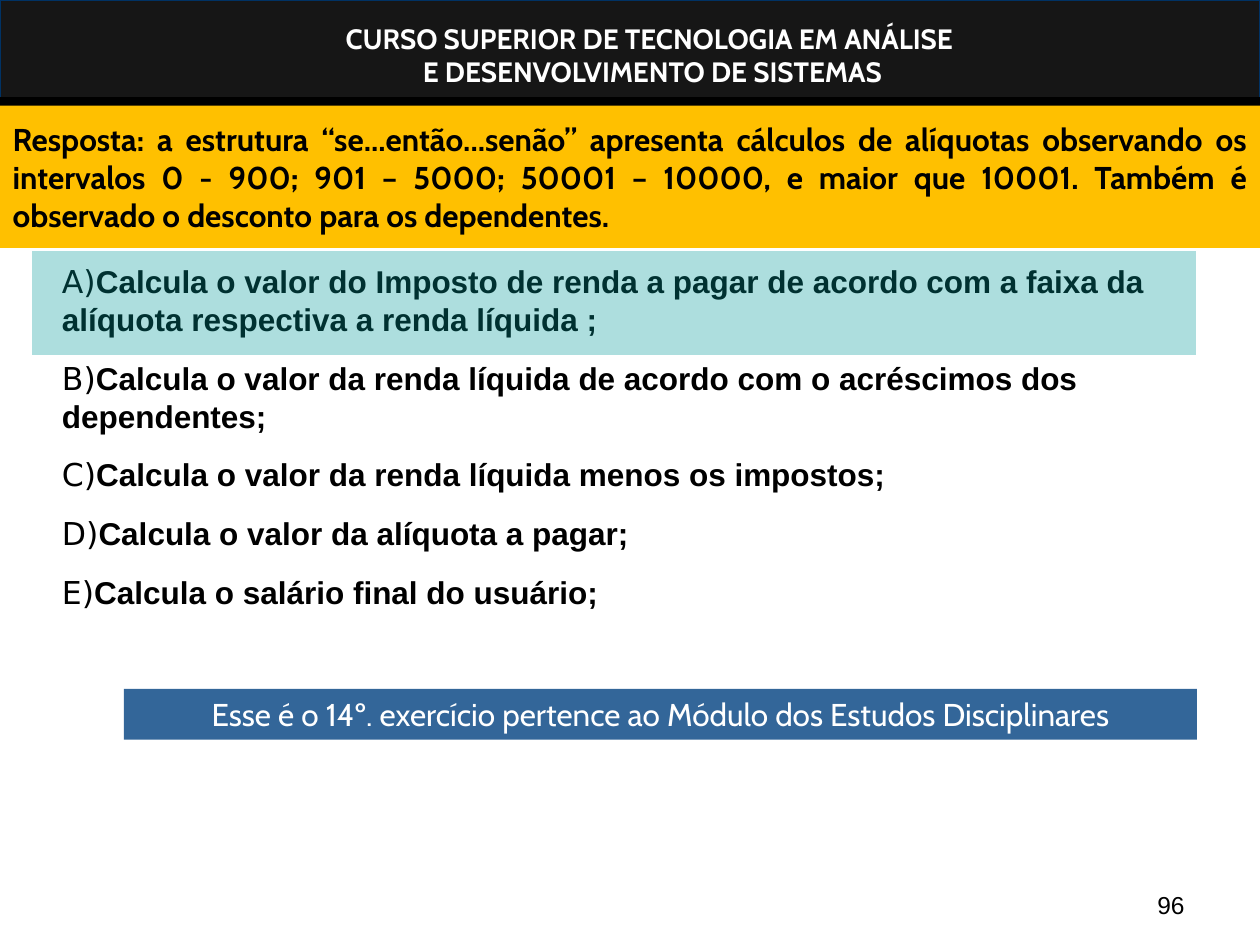
from dataclasses import dataclass
from typing import Optional

from lxml import etree
from pptx import Presentation
from pptx import util as u
from pptx.dml.color import RGBColor
from pptx.enum import shapes, text
from pptx.oxml.ns import qn


@dataclass(frozen=True)
class Theme:
    black: str = "000000"
    white: str = "FFFFFF"
    header: str = "161616"
    header_line: str = "003264"
    answer: str = "FFC000"
    note: str = "336699"
    highlight: str = "009999"
    highlight_opacity: int = 32
    display: str = "Cabin"
    body: str = "Arial"
    letter: str = "DejaVu Sans"
    body_size: int = 18
    header_size: int = 16
    number_size: int = 14


@dataclass(frozen=True)
class Area:
    """Left, top, width and height in centimetres."""
    left: float
    top: float
    width: float
    height: float

    def lengths(self) -> tuple:
        return tuple(u.Cm(n) for n in (self.left, self.top, self.width, self.height))


THEME = Theme()
WIDTH, HEIGHT = 25.4, 19.05
HEADER_HEIGHT = 2.13

HEADER_LINES = ("CURSO SUPERIOR DE TECNOLOGIA EM ANÁLISE ", "E DESENVOLVIMENTO DE SISTEMAS")
ANSWER = (
    "Resposta: a estrutura “se...então...senão” apresenta cálculos de alíquotas "
    "observando os intervalos 0 - 900; 901 – 5000; 50001 – 10000, e maior que 10001. "
    "Também é observado o desconto para os dependentes."
)
OPTIONS = (
    "Calcula o valor do Imposto de renda a pagar de acordo com a faixa da alíquota "
    "respectiva a renda líquida ;",
    "Calcula o valor da renda líquida de acordo com o acréscimos dos dependentes;",
    "Calcula o valor da renda líquida menos os impostos;",
    "Calcula o valor da alíquota a pagar;",
    "Calcula o salário final do usuário;",
)
NOTE = "Esse é o 14º. exercício pertence ao Módulo dos Estudos Disciplinares"


def set_font(font, name: str, size: int, color: str, bold: bool = False) -> None:
    font.name, font.size, font.bold = name, u.Pt(size), bold
    font.color.rgb = RGBColor.from_string(color)


def write_lines(frame, lines, align, name: str, size: int, color: str, bold: bool = False) -> None:
    for index, line in enumerate(lines):
        para = frame.paragraphs[0] if index == 0 else frame.add_paragraph()
        para.text, para.alignment = line, align
        set_font(para.font, name, size, color, bold)


def add_box(page, area: Area):
    box = page.shapes.add_textbox(*area.lengths())
    box.text_frame.word_wrap = True
    return box


def add_panel(page, area: Area, fill: str, line: Optional[str] = None):
    panel = page.shapes.add_shape(shapes.MSO_SHAPE.RECTANGLE, *area.lengths())
    panel.shadow.inherit = False
    panel.fill.solid()
    panel.fill.fore_color.rgb = RGBColor.from_string(fill)
    if line:
        panel.line.color.rgb = RGBColor.from_string(line)
        panel.line.width = u.Pt(0.75)
    else:
        panel.line.fill.background()
    return panel


def set_opacity(panel, percent: int) -> None:
    color = panel.element.spPr.find(qn("a:solidFill"))[0]
    etree.SubElement(color, qn("a:alpha")).set("val", str(percent * 1000))


def add_header(page) -> None:
    add_panel(page, Area(0, 0, WIDTH, HEADER_HEIGHT), THEME.header, THEME.header_line)
    box = add_box(page, Area(3.3, 0.3, 19.71, 1.63))
    write_lines(box.text_frame, HEADER_LINES, text.PP_ALIGN.CENTER,
                THEME.display, THEME.header_size, THEME.white, True)
    rule = page.shapes.add_connector(shapes.MSO_CONNECTOR.STRAIGHT,
                                     u.Cm(0), u.Cm(2.06), u.Cm(WIDTH), u.Cm(2.06))
    rule.line.color.rgb = RGBColor.from_string(THEME.black)
    rule.line.width = u.Pt(6)
    etree.SubElement(rule.element.spPr, qn("a:effectLst"))


def add_options(page) -> None:
    frame = add_box(page, Area(1, 5.16, 24.4, 9.32)).text_frame
    for index, option in enumerate(OPTIONS):
        para = frame.paragraphs[0] if index == 0 else frame.add_paragraph()
        para.space_before = u.Pt(6 if index else 0)
        para.space_after = u.Pt(6)
        for words, name, bold in ((f"{'ABCDE'[index]})", THEME.letter, False),
                                  (option, THEME.body, True)):
            span = para.add_run()
            span.text = words
            set_font(span.font, name, THEME.body_size, THEME.black, bold)


def place_answer(page) -> None:
    """Make the title a filled band in front of the header rule."""
    title = page.shapes.title
    title.left, title.top, title.width, title.height = Area(
        0, HEADER_HEIGHT, WIDTH, 2.87).lengths()
    title.fill.solid()
    title.fill.fore_color.rgb = RGBColor.from_string(THEME.answer)
    frame = title.text_frame
    frame.word_wrap = True
    frame.auto_size = text.MSO_AUTO_SIZE.NONE
    frame.vertical_anchor = text.MSO_ANCHOR.MIDDLE
    write_lines(frame, [ANSWER], text.PP_ALIGN.JUSTIFY,
                THEME.display, THEME.body_size, THEME.black, True)
    title.element.getparent().append(title.element)


def main() -> None:
    deck = Presentation()
    deck.slide_width, deck.slide_height = u.Cm(WIDTH), u.Cm(HEIGHT)
    page = deck.slides.add_slide(deck.slide_layouts.get_by_name("Title Only"))

    add_header(page)
    number = add_box(page, Area(18.21, 17.35, 5.92, 1.32)).text_frame
    number.vertical_anchor = text.MSO_ANCHOR.BOTTOM
    write_lines(number, ["96"], text.PP_ALIGN.RIGHT,
                THEME.body, THEME.number_size, THEME.black)
    add_options(page)

    note = add_panel(page, Area(2.5, 13.89, 21.63, 1.02), THEME.note).text_frame
    note.word_wrap = True
    note.vertical_anchor = text.MSO_ANCHOR.TOP
    write_lines(note, [NOTE], text.PP_ALIGN.CENTER,
                THEME.display, THEME.body_size, THEME.white)

    highlight = add_panel(page, Area(0.64, 5.05, 23.49, 2.13), THEME.highlight, THEME.white)
    set_opacity(highlight, THEME.highlight_opacity)
    place_answer(page)
    deck.save("out.pptx")


if __name__ == "__main__":
    main()
